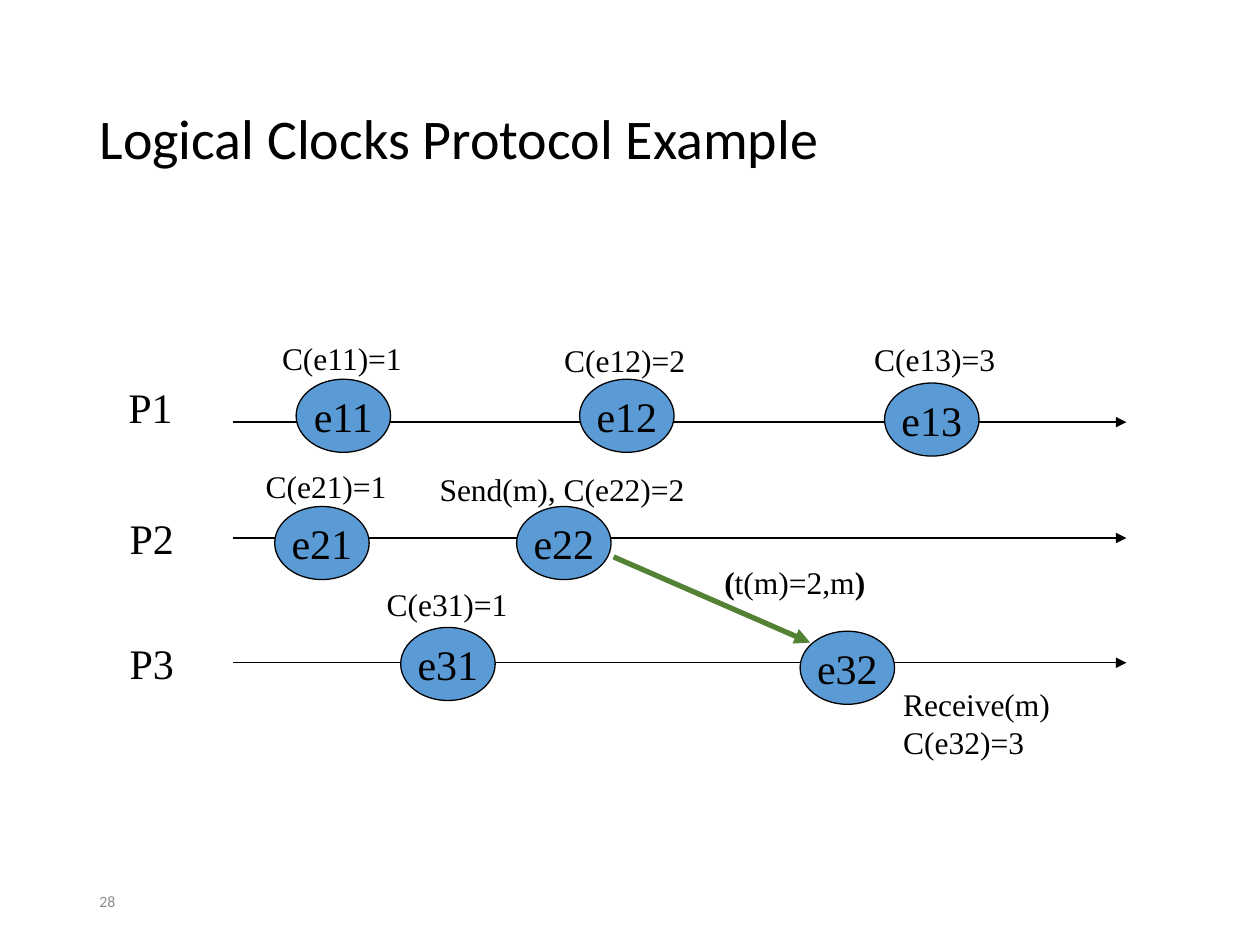
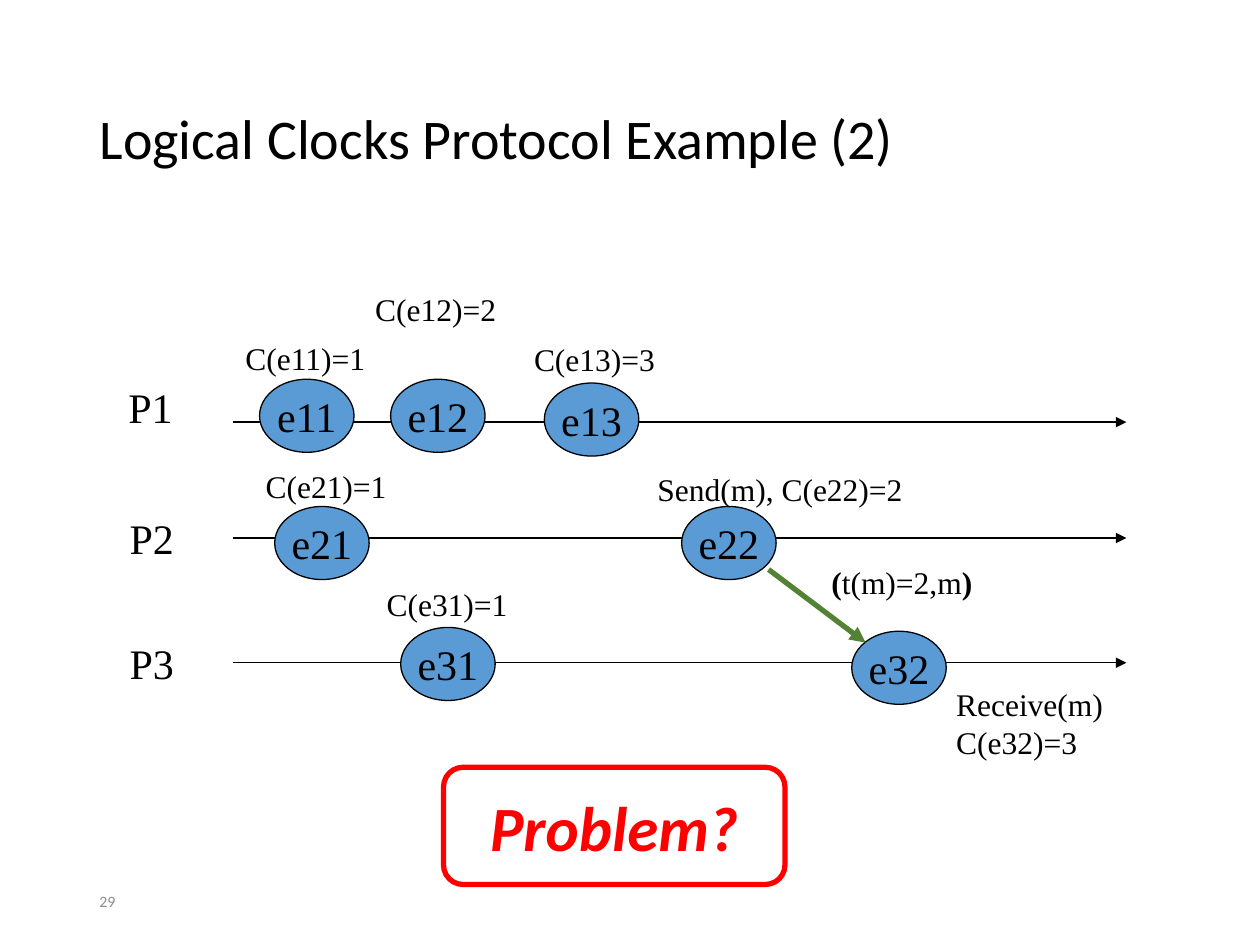
from lxml import etree
from pptx import Presentation
from pptx import util as u
from pptx.dml.color import RGBColor
from pptx.enum import shapes, text
from pptx.oxml.ns import qn

HUES = {"ink": "000000", "paper": "FFFFFF", "event": "5B9BD5",
        "message": "548235", "alert": "FF0000", "page": "8C8C8C"}
SERIF, SANS = "Times New Roman", "Calibri"
COLS, ROWS = 100, 75
SIZE = (7.5, 5.8)  # width and height of an event
LEFT, MID = text.PP_ALIGN.LEFT, text.PP_ALIGN.CENTER


class Deck:
    """Holds the style, the grid and the current slide."""

    def __init__(self):
        self.prs = Presentation()
        self.prs.slide_width, self.prs.slide_height = u.Inches(10), u.Inches(7.5)
        self.slide = None

    def place(self, *cells):
        """Turn column, row, column, row ... into lengths."""
        units = (self.prs.slide_width / COLS, self.prs.slide_height / ROWS)
        return [u.Emu(round(c * units[i % 2])) for i, c in enumerate(cells)]

    def hue(self, name):
        return RGBColor.from_string(HUES[name])

    def words(self, shape, runs, size, font=SERIF, hue="ink", align=LEFT,
              wrap=False, middle=False, italic=False):
        """Add (text, bold) runs; a None run breaks the line."""
        frame = shape.text_frame
        frame.word_wrap = wrap
        if middle:
            frame.vertical_anchor = text.MSO_ANCHOR.MIDDLE
        para = frame.paragraphs[0]
        para.alignment = align
        for part in runs:
            if part is None:
                para.add_line_break()
                continue
            run = para.add_run()
            run.text, run.font.bold = part
            run.font.italic = italic
            run.font.size, run.font.name = u.Pt(size), font
            run.font.color.rgb = self.hue(hue)
        return para

    def page(self, title, number):
        self.slide = self.prs.slides.add_slide(self.prs.slide_layouts[5])
        head = self.slide.shapes.title
        head.left, head.top, head.width, head.height = self.place(6.9, 4, 86.2, 14.5)
        head.text_frame.auto_size = text.MSO_AUTO_SIZE.NONE
        para = self.words(head, [(title, False)], 32, SANS, wrap=True, middle=True)
        para.line_spacing = 0.9
        foot = self.slide.shapes.add_textbox(*self.place(6.9, 69.5, 22.5, 4))
        self.words(foot, [(str(number), False)], 9, SANS, "page",
                   wrap=True, middle=True)

    def label(self, col, row, wide, high, runs, size=18):
        box = self.slide.shapes.add_textbox(*self.place(col, row, wide, high))
        self.words(box, runs, size)

    def arrow(self, start, end, hue="ink", weight=0.75):
        line = self.slide.shapes.add_connector(
            shapes.MSO_CONNECTOR.STRAIGHT, *self.place(*start, *end))
        line.line.color.rgb, line.line.width = self.hue(hue), u.Pt(weight)
        props = line.element.spPr
        etree.SubElement(props.find(qn("a:ln")), qn("a:tailEnd"), type="triangle")
        etree.SubElement(props, qn("a:effectLst"))

    def shape(self, kind, cells, fill, edge, weight):
        item = self.slide.shapes.add_shape(kind, *self.place(*cells))
        item.shadow.inherit = False
        item.fill.solid()
        item.fill.fore_color.rgb = self.hue(fill)
        item.line.color.rgb, item.line.width = self.hue(edge), u.Pt(weight)
        return item

    def event(self, name, col, row):
        oval = self.shape(shapes.MSO_SHAPE.OVAL, (col, row, *SIZE),
                          "event", "ink", 0.75)
        self.words(oval, [(name, False)], 24, align=MID, middle=True)

    def callout(self, ask, cells):
        box = self.shape(shapes.MSO_SHAPE.ROUNDED_RECTANGLE, cells,
                         "paper", "alert", 3)
        self.words(box, [(ask, True)], 36, SANS, "alert", MID,
                   wrap=True, middle=True, italic=True)


# Process name: column and row of the name, row of the time line
LANES = {"P1": (9.2, 29.8, 33.5), "P2": (9.3, 40.2, 42.7), "P3": (9.3, 50.1, 52.6)}

# Event: top row, clock value, row of its label
EVENTS = {"e11": (30.1, 1, 26.4), "e12": (30.1, 2, 26.6), "e13": (30.4, 3, 26.5),
          "e21": (40.2, 1, 36.6), "e22": (40.2, 2, 36.8),
          "e32": (50.1, 3, 53.9), "e31": (49.8, 1, 45.9)}

# Each slide: columns of (event, label), label rows that differ, message arrow
SLIDES = [
    {"title": "Logical Clocks Protocol Example",
     "cols": {"e11": (23.5, 21.4), "e12": (46, 43.8), "e13": (70.2, 68.4),
              "e21": (21.8, 20.1), "e22": (41, 33.9),
              "e32": (63.5, 70.7), "e31": (31.8, 29.7)},
     "rows": {}, "send": ((48.7, 44.2), (64.3, 51)), "stamp": 56.5},
    {"title": "Logical Clocks Protocol Example (2)",
     "cols": {"e11": (20.6, 18.5), "e12": (31, 28.8), "e13": (43.2, 41.4),
              "e21": (21.8, 20.1), "e22": (54.1, 51.2),
              "e32": (67.6, 74.9), "e31": (31.8, 29.7)},
     "rows": {"e12": 22.5}, "send": ((61, 45.2), (68.7, 51)), "stamp": 65,
     "ask": "Problem?"},
]


def draw(deck, plan, number):
    deck.page(plan["title"], number)

    # Time lines and process names
    for name, (col, row, line) in LANES.items():
        deck.arrow((18.5, line), (89.4, line))
        deck.label(col, row, 5.5, 5, [(name, False)], 24)

    # Events
    for name, (row, _, _) in EVENTS.items():
        deck.event(name, plan["cols"][name][0], row)

    # Message with its time stamp
    deck.arrow(*plan["send"], "message", 3)
    deck.label(plan["stamp"], 44.2, 13.3, 4,
               [("(", True), ("t(m)=2,m", False), (")", True)])

    # Clock values
    for name, (_, value, row) in EVENTS.items():
        clock = f"C({name})={value}"
        runs, wide, high = [(clock, False)], 11.7, 4
        if name == "e22":
            runs, wide = [("Send(m), " + clock, False)], 21.7
        elif name == "e32":
            runs, wide, high = [("Receive(m)", False), None, (clock, False)], 13.8, 7.1
        deck.label(plan["cols"][name][1], plan["rows"].get(name, row),
                   wide, high, runs)

    # Closing question
    if "ask" in plan:
        deck.callout(plan["ask"], (35.2, 60.9, 27.1, 9.3))


def main():
    deck = Deck()
    for number, plan in enumerate(SLIDES, 28):
        draw(deck, plan, number)
    deck.prs.save("out.pptx")


if __name__ == "__main__":
    main()
